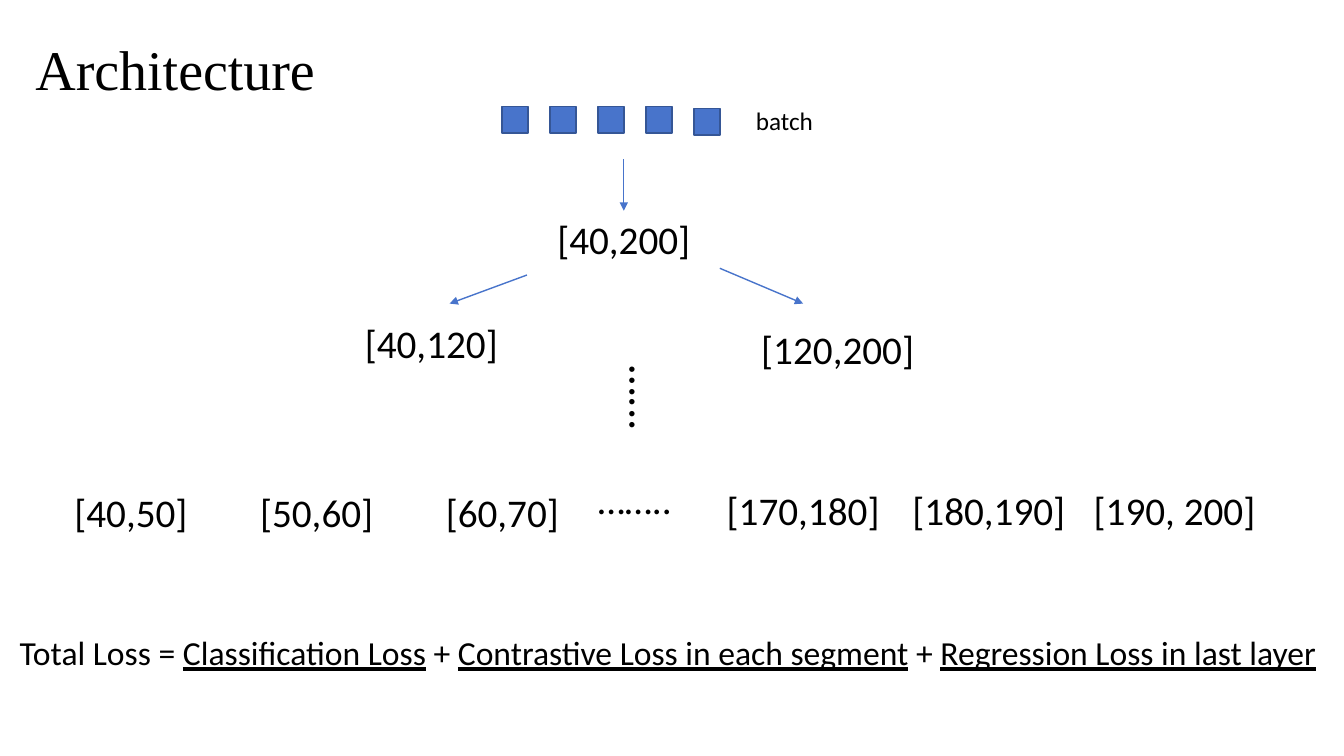
from dataclasses import dataclass

from lxml.etree import SubElement
from pptx import Presentation
from pptx.dml.color import RGBColor
from pptx.enum.shapes import MSO_CONNECTOR, MSO_SHAPE
from pptx.enum.text import MSO_ANCHOR, MSO_AUTO_SIZE, PP_ALIGN
from pptx.oxml.ns import qn
from pptx.slide import Slide
from pptx.text.text import TextFrame
from pptx.util import Cm, Pt

BLACK = RGBColor(0x00, 0x00, 0x00)
BLUE = RGBColor(0x48, 0x74, 0xCB)
DARK_BLUE = RGBColor(0x35, 0x56, 0x96)

# Lengths in centimetres
SQUARE_SIZE = 0.66
SQUARE_LEFT = 12.65
SQUARE_PITCH = 1.21
SQUARE_TOPS = (2.69, 2.69, 2.69, 2.69, 2.74)
SEGMENT_PITCH = 4.68


@dataclass(frozen=True)
class Run:
    text: str
    underline: bool = False


@dataclass(frozen=True)
class Label:
    runs: tuple[Run, ...]
    left: float
    top: float
    width: float = 6.6
    height: float = 1.45
    size: int = 28
    alignment: PP_ALIGN = PP_ALIGN.CENTER
    vertical: bool = False


@dataclass(frozen=True)
class Arrow:
    start: tuple[float, float]
    end: tuple[float, float]


def segment_row(names: tuple[str, ...], left: float, top: float) -> list[Label]:
    return [
        Label((Run(name),), left + index * SEGMENT_PITCH, top)
        for index, name in enumerate(names)
    ]


LABELS = [
    Label((Run("batch"),), 18.8, 2.54, 2.92, 1.02, 18, PP_ALIGN.LEFT),
    # Upper layers
    Label((Run("[40,200]"),), 12.42, 5.31),
    Label((Run("[40,120]"),), 7.57, 7.92),
    Label((Run("[120,200]"),), 17.81, 8.08),
    Label((Run("…..."),), 15.24, 8.97, 1.88, 2.9, 32, PP_ALIGN.LEFT, True),
    # Last layer
    *segment_row(("[40,50]", "[50,60]", "[60,70]"), 0, 12.19),
    Label((Run("…….."),), 12.7, 11.86),
    *segment_row(("[170,180]", "[180,190]", "[190, 200]"), 16.94, 12.12),
    # Loss formula
    Label(
        (
            Run("Total Loss = "),
            Run("Classification Loss", True),
            Run(" + "),
            Run("Contrastive Loss in each segment", True),
            Run(" + "),
            Run("Regression Loss in last layer", True),
        ),
        0, 15.8, 33.66, 1.27, 24,
    ),
]

ARROWS = [
    Arrow((15.72, 4.01), (15.72, 5.31)),
    Arrow((13.28, 6.93), (11.33, 7.65)),
    Arrow((18.14, 6.76), (20.24, 7.65)),
]


def write_runs(frame: TextFrame, runs: tuple[Run, ...], size: int,
               font_name: str, alignment: PP_ALIGN) -> None:
    paragraph = frame.paragraphs[0]
    paragraph.alignment = alignment
    for item in runs:
        run = paragraph.add_run()
        run.text = item.text
        run.font.size = Pt(size)
        run.font.name = font_name
        run.font.color.rgb = BLACK
        run.font.underline = item.underline


def add_title(slide: Slide, text: str) -> None:
    title = slide.shapes.title
    title.left, title.top = Cm(0.64), Cm(0.74)
    title.width, title.height = Cm(16.68), Cm(1.96)
    frame = title.text_frame
    frame.vertical_anchor = MSO_ANCHOR.TOP
    frame.auto_size = MSO_AUTO_SIZE.NONE
    write_runs(frame, (Run(text),), 40, "Times New Roman", PP_ALIGN.LEFT)


def add_label(slide: Slide, label: Label) -> None:
    shape = slide.shapes.add_textbox(
        Cm(label.left), Cm(label.top), Cm(label.width), Cm(label.height))
    frame = shape.text_frame
    frame.word_wrap = True
    frame.auto_size = MSO_AUTO_SIZE.SHAPE_TO_FIT_TEXT
    if label.vertical:
        frame._txBody.bodyPr.set("vert", "eaVert")
    write_runs(frame, label.runs, label.size, "Calibri", label.alignment)


def add_square(slide: Slide, left: float, top: float) -> None:
    square = slide.shapes.add_shape(
        MSO_SHAPE.RECTANGLE, Cm(left), Cm(top), Cm(SQUARE_SIZE), Cm(SQUARE_SIZE))
    square.shadow.inherit = False
    square.fill.solid()
    square.fill.fore_color.rgb = BLUE
    square.line.color.rgb = DARK_BLUE
    square.line.width = Pt(1)


def add_arrow(slide: Slide, arrow: Arrow) -> None:
    connector = slide.shapes.add_connector(
        MSO_CONNECTOR.STRAIGHT, *map(Cm, arrow.start + arrow.end))
    connector.line.color.rgb = BLUE
    connector.line.width = Pt(1)
    SubElement(connector.line._get_or_add_ln(), qn("a:tailEnd"), type="triangle")
    SubElement(connector._element.spPr, qn("a:effectLst"))


def main() -> None:
    presentation = Presentation()
    presentation.slide_width = Cm(33.87)
    presentation.slide_height = Cm(19.05)
    title_only = presentation.slide_layouts[5]
    slide = presentation.slides.add_slide(title_only)

    add_title(slide, "Architecture")
    for index, top in enumerate(SQUARE_TOPS):
        add_square(slide, SQUARE_LEFT + index * SQUARE_PITCH, top)
    for label in LABELS:
        add_label(slide, label)
    for arrow in ARROWS:
        add_arrow(slide, arrow)

    presentation.save("out.pptx")


if __name__ == "__main__":
    main()
